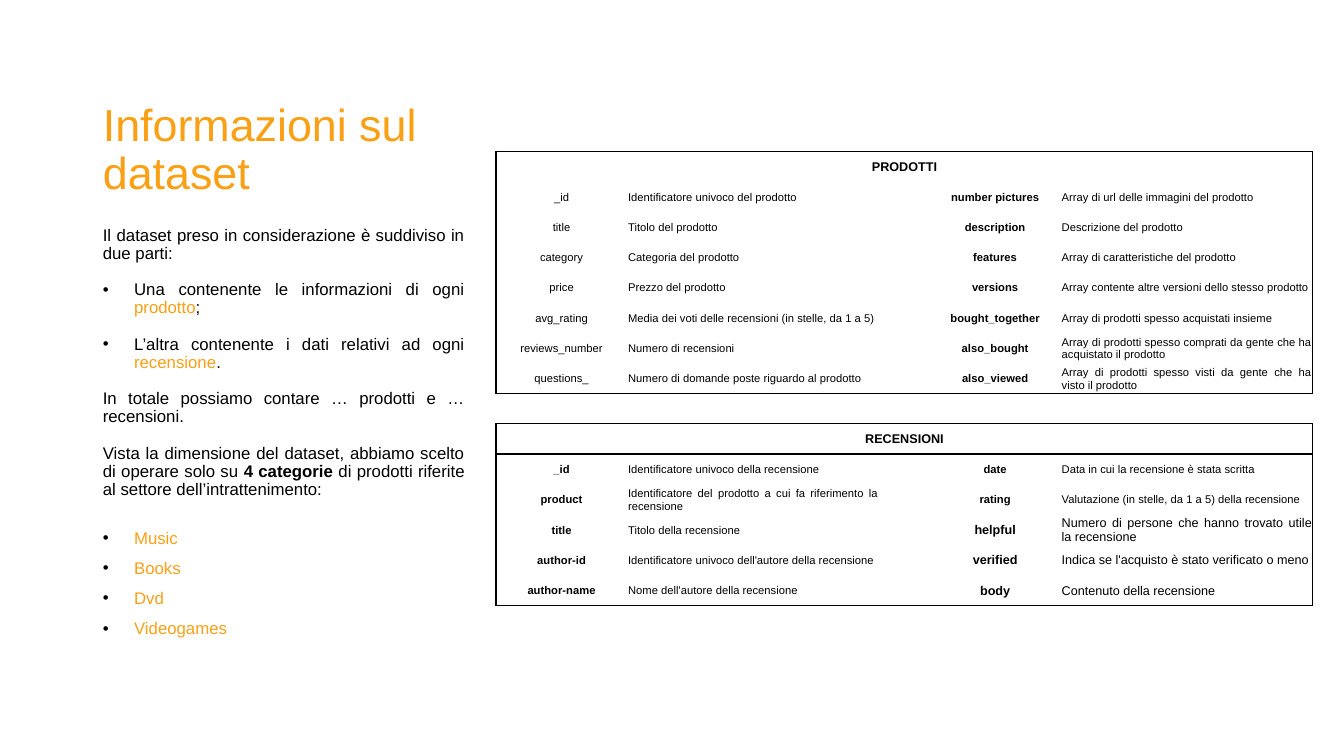
from lxml.etree import SubElement
from pptx import Presentation
from pptx.dml.color import RGBColor
from pptx.enum.text import MSO_ANCHOR as Anchor, MSO_AUTO_SIZE as AutoSize, PP_ALIGN as Align
from pptx.oxml.ns import qn
from pptx.util import Inches, Pt

ORANGE = RGBColor(0xF9, 0xA0, 0x15)
BLACK = RGBColor(0, 0, 0)
FONT = "Arial"

# Content
TITLE = "Informazioni sul dataset"
EMPHASIS = {"color": ORANGE}
STRONG = {"bold": True}

# Each paragraph: bulleted or not, then its runs with their emphasis
INTRO = [
    (False, [("Il dataset preso in considerazione è suddiviso in due parti:", {})]),
    (True, [("Una contenente le informazioni di ogni ", {}), ("prodotto", EMPHASIS), (";", {})]),
    (True, [("L’altra contenente i dati relativi ad ogni ", {}), ("recensione", EMPHASIS), (".", {})]),
    (False, [("In totale possiamo contare … prodotti e … recensioni.", {})]),
    (False, [("Vista la dimensione del dataset, abbiamo scelto di operare solo su ", {}),
             ("4 categorie ", STRONG),
             ("di prodotti riferite al settore dell’intrattenimento:", {})]),
]
CATEGORIES = ["Music", "Books", "Dvd", "Videogames"]

PRODUCT_FIELDS = [
    ("_id", "Identificatore univoco del prodotto",
     "number pictures", "Array di url delle immagini del prodotto"),
    ("title", "Titolo del prodotto", "description", "Descrizione del prodotto"),
    ("category", "Categoria del prodotto", "features", "Array di caratteristiche del prodotto"),
    ("price", "Prezzo del prodotto",
     "versions", "Array contente altre versioni dello stesso prodotto"),
    ("avg_rating", "Media dei voti delle recensioni (in stelle, da 1 a 5)",
     "bought_together", "Array di prodotti spesso acquistati insieme"),
    ("reviews_number", "Numero di recensioni",
     "also_bought", "Array di prodotti spesso comprati da gente che ha acquistato il prodotto"),
    ("questions_", "Numero di domande poste riguardo al prodotto",
     "also_viewed", "Array di prodotti spesso visti da gente che ha visto il prodotto"),
]
REVIEW_FIELDS = [
    ("_id", "Identificatore univoco della recensione",
     "date", "Data in cui la recensione è stata scritta"),
    ("product", "Identificatore del prodotto a cui fa riferimento la recensione",
     "rating", "Valutazione (in stelle, da 1 a 5) della recensione"),
    ("title", "Titolo della recensione",
     "helpful", "Numero di persone che hanno trovato utile la recensione"),
    ("author-id", "Identificatore univoco dell'autore della recensione",
     "verified", "Indica se l'acquisto è stato verificato o meno"),
    ("author-name", "Nome dell'autore della recensione", "body", "Contenuto della recensione"),
]
LARGE_FIELDS = {"helpful", "verified", "body"}

# Heading, fields, bold first column, line under the heading
SECTIONS = [
    ("PRODOTTI", PRODUCT_FIELDS, False, False),
    ("RECENSIONI", REVIEW_FIELDS, True, True),
]

# Layout
COLUMN_WIDTHS = [1.3, 2.5, 0.5, 1.3, 2.5]
FIELD_COLUMNS = [0, 1, 3, 4]
LAST_COLUMN = len(COLUMN_WIDTHS) - 1
ROW_HEIGHT = 4.51 / 15
BULLET_INDENT = 0.31
LINE_GAP = 13


def write(paragraph, text, size, color=BLACK, bold=False, align=Align.LEFT,
          spacing=1.0, before=0, bullet=False):
    """Fill a paragraph with a string or with (text, emphasis) runs."""
    paragraph.alignment = align
    paragraph.line_spacing = spacing
    paragraph.space_before = Pt(before)
    paragraph.space_after = Pt(0)
    properties = paragraph._p.get_or_add_pPr()
    indent = Inches(BULLET_INDENT) if bullet else 0
    properties.set("marL", str(indent))
    properties.set("indent", str(-indent))
    if bullet:
        bullet_color = SubElement(properties, qn("a:buClr"))
        SubElement(bullet_color, qn("a:srgbClr"), val=str(BLACK))
        SubElement(properties, qn("a:buFont"), typeface=FONT)
        SubElement(properties, qn("a:buChar"), char="•")
    else:
        SubElement(properties, qn("a:buNone"))
    for words, emphasis in [(text, {})] if isinstance(text, str) else text:
        run = paragraph.add_run()
        run.text = words
        run.font.name = FONT
        run.font.size = Pt(size)
        run.font.bold = emphasis.get("bold", bold)
        run.font.color.rgb = emphasis.get("color", color)


def place(placeholder, left, top, width, height, anchor):
    placeholder.left, placeholder.top = Inches(left), Inches(top)
    placeholder.width, placeholder.height = Inches(width), Inches(height)
    frame = placeholder.text_frame
    frame.word_wrap = True
    frame.auto_size = AutoSize.NONE
    frame.vertical_anchor = anchor
    return frame


def format_cell(cell, sides):
    """Set margins and borders; sides holds the letters of the drawn edges."""
    cell.margin_left = cell.margin_right = cell.margin_top = Inches(0.01)
    cell.margin_bottom = 0
    cell.vertical_anchor = Anchor.MIDDLE
    properties = cell._tc.get_or_add_tcPr()
    for side in "LRTB":
        line = SubElement(properties, qn("a:ln" + side), w=str(Pt(1)))
        if side in sides:
            fill = SubElement(line, qn("a:solidFill"))
            SubElement(fill, qn("a:srgbClr"), val=str(BLACK))
        else:
            SubElement(line, qn("a:noFill"))
    cell.fill.background()
    if not cell.text_frame.text:
        SubElement(cell.text_frame.paragraphs[0]._p, qn("a:endParaRPr"), sz="800")


def edges(column):
    return {0: "L", LAST_COLUMN: "R"}.get(column, "")


def main():
    deck = Presentation()
    deck.slide_width, deck.slide_height = Inches(13.33), Inches(7.5)
    slide = deck.slides.add_slide(deck.slide_layouts[1])
    title, body = slide.placeholders

    # Title
    heading = place(title, 0.92, 0.94, 3.79, 1.09, Anchor.BOTTOM)
    write(heading.paragraphs[0], TITLE, 32, color=ORANGE, spacing=0.9)

    # Introduction and categories
    intro = place(body, 0.92, 2.02, 3.79, 4.54, Anchor.TOP)
    intro.margin_top = Inches(0.23)
    for i, (bulleted, runs) in enumerate(INTRO):
        paragraph = intro.add_paragraph() if i else intro.paragraphs[0]
        write(paragraph, runs, 12, align=Align.JUSTIFY, spacing=0.9,
              before=LINE_GAP if i else 0, bullet=bulleted)
    for i, category in enumerate(CATEGORIES):
        write(intro.add_paragraph(), category, 12, color=ORANGE, align=Align.JUSTIFY,
              spacing=1.5, before=0 if i else LINE_GAP, bullet=True)

    # Table of both collections, with an empty row between them
    row_count = sum(len(fields) + 1 for _, fields, _, _ in SECTIONS) + len(SECTIONS) - 1
    table = slide.shapes.add_table(
        row_count, len(COLUMN_WIDTHS), Inches(4.92), Inches(1.5),
        Inches(sum(COLUMN_WIDTHS)), Inches(ROW_HEIGHT * row_count)).table
    table.first_row = table.horz_banding = False
    for column, width in zip(table.columns, COLUMN_WIDTHS):
        column.width = Inches(width)
    for row in table.rows:
        row.height = Inches(ROW_HEIGHT)

    top = 0
    for section, fields, bold_names, underlined in SECTIONS:
        if top:
            for column in range(len(COLUMN_WIDTHS)):
                format_cell(table.cell(top, column), "TB")
            top += 1

        # Section heading
        table.cell(top, 0).merge(table.cell(top, LAST_COLUMN))
        write(table.cell(top, 0).text_frame.paragraphs[0], section, 9,
              bold=True, align=Align.CENTER)
        for column in range(len(COLUMN_WIDTHS)):
            sides = "LRT" if column == 0 else "T" + edges(column)
            format_cell(table.cell(top, column), sides + ("B" if underlined else ""))

        # Field names and descriptions
        bottom = top + len(fields)
        for row, field in enumerate(fields, top + 1):
            for column, text in zip(FIELD_COLUMNS, field):
                is_name = column in (0, 3)
                large = column >= 3 and field[2] in LARGE_FIELDS
                write(table.cell(row, column).text_frame.paragraphs[0], text,
                      9 if large else 8,
                      bold=column == 3 or (column == 0 and bold_names),
                      align=Align.CENTER if is_name else Align.JUSTIFY)
            for column in range(len(COLUMN_WIDTHS)):
                sides = edges(column) + ("B" if row == bottom else "")
                if row == top + 1 and underlined:
                    sides += "T"
                format_cell(table.cell(row, column), sides)
        top = bottom + 1

    deck.save("out.pptx")


if __name__ == "__main__":
    main()
